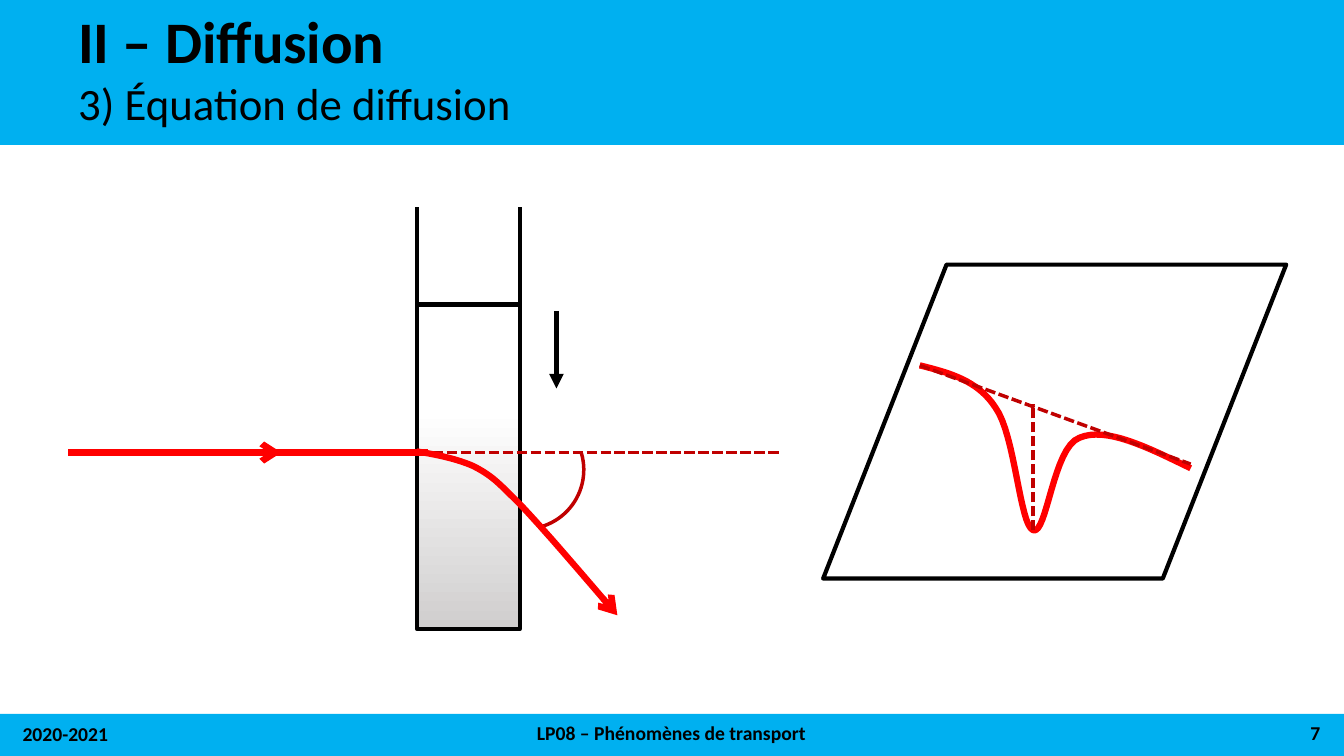
from pptx import Presentation
from pptx.dml.color import RGBColor
from pptx.enum.dml import MSO_LINE
from pptx.enum.shapes import MSO_CONNECTOR, MSO_SHAPE as SHAPE
from pptx.enum.text import MSO_ANCHOR as ANCHOR, PP_ALIGN as ALIGN
from pptx.oxml.ns import qn
from pptx.util import Pt
from lxml.etree import SubElement

BLUE = RGBColor(0x00, 0xB0, 0xF0)
BLACK = RGBColor(0x00, 0x00, 0x00)
WHITE = RGBColor(0xFF, 0xFF, 0xFF)
GREY = RGBColor(0xD0, 0xCE, 0xCE)
RED = RGBColor(0xFF, 0x00, 0x00)
DARK_RED = RGBColor(0xC0, 0x00, 0x00)
EMU_PER_PX = 9525
CURVE_STEPS = 16


def px(*lengths):
    """Turn pixel lengths into EMU."""
    return [round(n * EMU_PER_PX) for n in lengths]


def curve_points(points):
    """Sample a chain of cubic Bézier curves."""
    samples = []
    for i in range(0, len(points) - 1, 3):
        a, b, c, d = points[i:i + 4]
        for step in range(1, CURVE_STEPS + 1):
            t = step / CURVE_STEPS
            u = 1 - t
            weights = (u ** 3, 3 * u * u * t, 3 * u * t * t, t ** 3)
            samples.append(px(*(sum(w * n for w, n in zip(weights, axis))
                                for axis in zip(a, b, c, d))))
    return samples


class SlideBuilder:
    """Hold the slide and its style, and draw each kind of element."""

    font = "Calibri"

    def __init__(self, slide):
        self.shapes = slide.shapes

    def stroke(self, s, color, width, dashed=False, tail=None):
        """Style an outline, with an optional dash and arrowhead."""
        s.line.color.rgb = color
        s.line.width = Pt(width)
        if dashed:
            s.line.dash_style = MSO_LINE.SQUARE_DOT
        if tail:
            ln = s.element.spPr.get_or_add_ln()
            SubElement(ln, qn("a:tailEnd"), type=tail)

    def shape(self, kind, box, fill=None, line=None, width=3):
        """Add a preset shape."""
        s = self.shapes.add_shape(kind, *px(*box))
        s.shadow.inherit = False
        if fill is None:
            s.fill.background()
        else:
            s.fill.solid()
            s.fill.fore_color.rgb = fill
        if line is None:
            s.line.fill.background()
        else:
            self.stroke(s, line, width)
        return s

    def line(self, start, end, color, width, **style):
        """Add a straight connector."""
        s = self.shapes.add_connector(MSO_CONNECTOR.STRAIGHT, *px(*start, *end))
        self.stroke(s, color, width, **style)
        SubElement(s.element.spPr, qn("a:effectLst"))

    def curve(self, points, color, width, **style):
        """Add an open smooth curve."""
        builder = self.shapes.build_freeform(*px(*points[0]))
        builder.add_line_segments(curve_points(points), close=False)
        s = builder.convert_to_shape()
        s.shadow.inherit = False
        s.fill.background()
        self.stroke(s, color, width, **style)

    def text(self, box, text, size, bold=True, align=ALIGN.LEFT,
             anchor=ANCHOR.MIDDLE, spacing=1.0):
        """Add a one-paragraph text box."""
        tf = self.shapes.add_textbox(*px(*box)).text_frame
        tf.word_wrap = True
        tf.vertical_anchor = anchor
        tf.text = text
        p = tf.paragraphs[0]
        p.alignment = align
        p.line_spacing = spacing
        font = p.runs[0].font
        font.name = self.font
        font.size = Pt(size)
        font.bold = bold
        font.color.rgb = BLACK


def draw_frame(sb):
    """Draw the header, the footer and their texts."""
    sb.shape(SHAPE.RECTANGLE, (0, -1, 1280, 139), BLUE)
    sb.shape(SHAPE.RECTANGLE, (0, 680, 1280, 40), BLUE)
    sb.text((65, 11, 1127, 62), "II – Diffusion", 42, spacing=0.9)
    sb.text((65, 77, 1127, 53), "3) Équation de diffusion", 32, bold=False,
            anchor=ANCHOR.TOP, spacing=0.8)
    sb.text((12, 680, 288, 38), "2020-2021", 14)
    sb.text((300, 679, 679, 38), "LP08 – Phénomènes de transport", 14,
            align=ALIGN.CENTER)
    sb.text((979, 679, 288, 38), "7", 14, align=ALIGN.RIGHT)


def draw_tank(sb):
    """Draw the tank and the laser ray bent by the gradient."""
    angle = sb.shape(SHAPE.ARC, (443, 391, 113, 113), line=DARK_RED, width=2.5)
    angle.rotation = 73.9
    tank = sb.shape(SHAPE.RECTANGLE, (397, 189, 98, 410), line=BLACK)
    tank.fill.gradient()
    tank.fill.gradient_angle = 90
    for stop, position, color in zip(tank.fill.gradient_stops, (0, 0.51),
                                     (GREY, WHITE)):
        stop.position = position
        stop.color.rgb = color
    sb.shape(SHAPE.RECTANGLE, (374, 181, 152, 16), WHITE)
    sb.line((397, 290), (495, 290), BLACK, 3)
    sb.line((65, 431), (408, 431), RED, 4.5)
    sb.line((399, 431), (742, 431), DARK_RED, 2.5, dashed=True)
    sb.curve([(397, 430), (416, 433), (435, 437), (451, 444), (468, 453),
              (472, 457), (495, 480), (517, 503), (552, 544), (588, 586)],
             RED, 4.5, tail="arrow")
    sb.line((113, 431), (268, 431), RED, 4.5, tail="arrow")
    sb.line((530, 296), (530, 370), BLACK, 3.5, tail="triangle")


def draw_screen(sb):
    """Draw the screen and the deviated light curve."""
    screen = sb.shape(SHAPE.PARALLELOGRAM, (784, 252, 441, 299), WHITE, BLACK)
    screen.adjustments[0] = 0.393
    sb.curve([(876, 348), (904, 355), (931, 362), (948, 388), (967, 414),
              (971, 500), (984, 505), (997, 510), (1003, 426), (1028, 417),
              (1053, 406), (1093, 426), (1134, 446)], RED, 4.5)
    sb.line((876, 348), (1134, 442), DARK_RED, 2.5, dashed=True)
    sb.line((984, 505), (984, 385), DARK_RED, 2.5, dashed=True)


def main():
    """Build the slide and save it."""
    prs = Presentation()
    prs.slide_width, prs.slide_height = px(1280, 720)
    sb = SlideBuilder(prs.slides.add_slide(prs.slide_layouts[6]))
    draw_frame(sb)
    draw_tank(sb)
    draw_screen(sb)
    prs.save("out.pptx")


if __name__ == "__main__":
    main()
